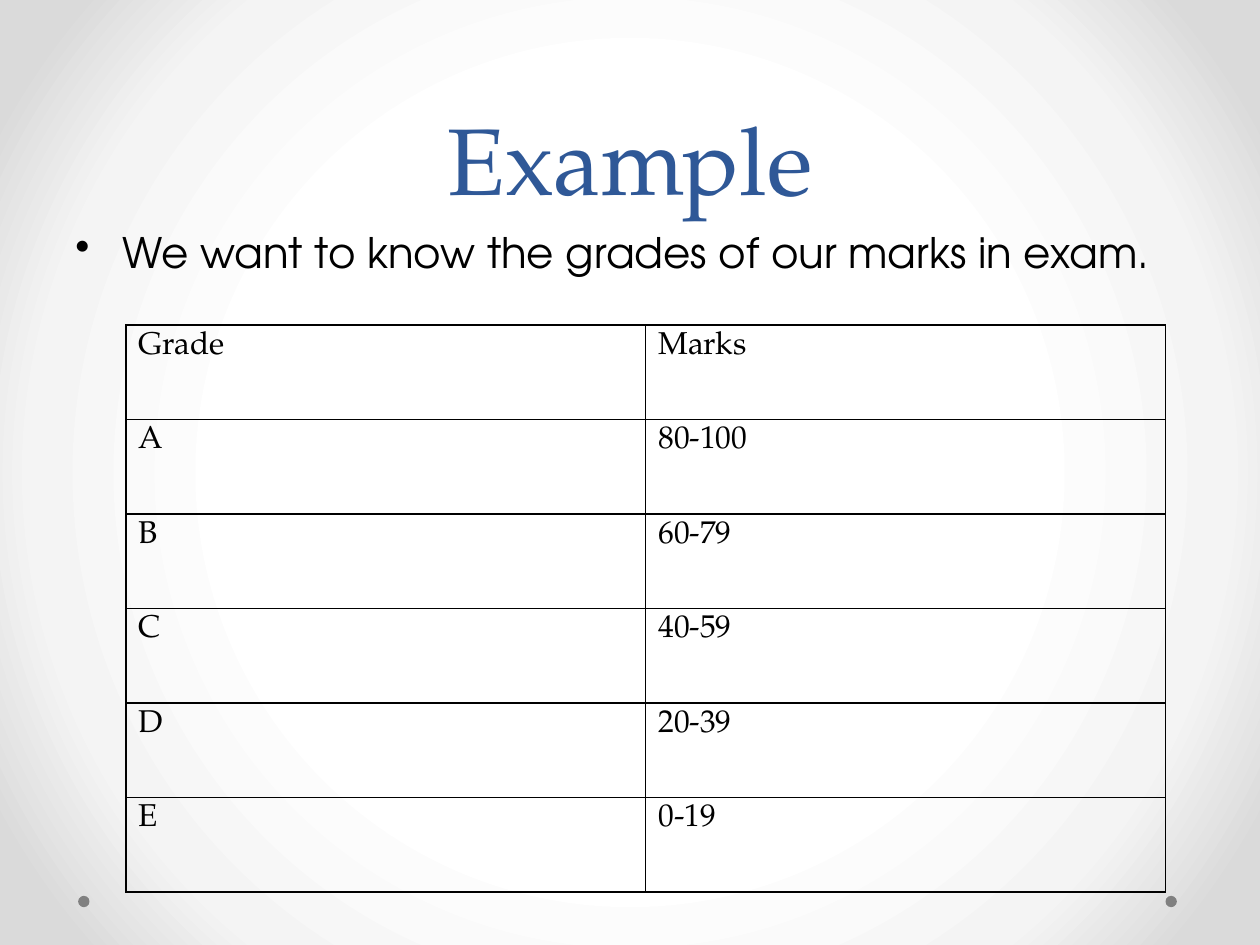
from typing import NamedTuple

import pptx
import pptx.dml.color
import pptx.enum.shapes
import pptx.enum.text
import pptx.oxml
import pptx.oxml.ns
import pptx.util
from pptx.util import Inches

COLORS = {"title": "2F5897", "text": "000000", "dot": "808080", "border": "000000"}
BACKGROUND_STOPS = [(50, "FFFFFF"), (76, "F4F4F4"), (92, "DADADA")]
SERIF = "TeX Gyre Pagella"
SANS = "TeX Gyre Adventor"
DOT_SIZE, DOT_TOP, DOT_LEFTS = 0.09, 7.11, (0.62, 9.25)
ROW_HEIGHT, COLUMN_WIDTH = 0.75, 4.125


class GradeRow(NamedTuple):
    grade: str
    marks: str


class TextBlock(NamedTuple):
    text: str
    top: float
    height: float
    font: str
    size: int
    color: str


GRADES = [
    GradeRow("Grade", "Marks"),
    GradeRow("A", "80-100"),
    GradeRow("B", "60-79"),
    GradeRow("C", "40-59"),
    GradeRow("D", "20-39"),
    GradeRow("E", "0-19"),
]
TITLE = TextBlock("Example", 0, 1.75, SERIF, 54, "title")
BODY = TextBlock("We want to know the grades of our marks in exam.",
                 1.75, 4.95, SANS, 24, "text")


def rgb(name: str) -> pptx.dml.color.RGBColor:
    return pptx.dml.color.RGBColor.from_string(COLORS[name])


def drawing_xml(tag: str, attributes: str = "", inner: str = ""):
    namespace = pptx.oxml.ns.nsdecls("a")
    return pptx.oxml.parse_xml(f"<a:{tag} {namespace} {attributes}>{inner}</a:{tag}>")


def set_font(para, name: str, size: int, color: str) -> None:
    para.font.name = name
    para.font.size = pptx.util.Pt(size)
    para.font.color.rgb = rgb(color)


def paint_background(page) -> None:
    page.background.fill.gradient()
    gradient = page.element.find(".//" + pptx.oxml.ns.qn("a:gradFill"))
    for child in list(gradient):
        gradient.remove(child)
    stops = "".join(f'<a:gs pos="{position * 1000}"><a:srgbClr val="{color}"/></a:gs>'
                    for position, color in BACKGROUND_STOPS)
    gradient.append(drawing_xml("gsLst", inner=stops))
    center = '<a:fillToRect l="50000" t="50000" r="50000" b="50000"/>'
    gradient.append(drawing_xml("path", 'path="circle"', center))


def add_dot(page, left: float) -> None:
    dot = page.shapes.add_shape(pptx.enum.shapes.MSO_SHAPE.OVAL, Inches(left),
                                Inches(DOT_TOP), Inches(DOT_SIZE), Inches(DOT_SIZE))
    dot.shadow.inherit = False
    dot.fill.solid()
    dot.fill.fore_color.rgb = rgb("dot")
    dot.line.fill.background()


def add_text(page, block: TextBlock):
    box = page.shapes.add_textbox(Inches(0.5), Inches(block.top),
                                  Inches(9), Inches(block.height))
    box.text_frame.word_wrap = True
    para = box.text_frame.paragraphs[0]
    para.text = block.text
    set_font(para, block.font, block.size, block.color)
    return box


def add_borders(cell) -> None:
    properties = cell._tc.get_or_add_tcPr()
    line = f'<a:solidFill><a:srgbClr val="{COLORS["border"]}"/></a:solidFill>'
    for index, side in enumerate(("lnL", "lnR", "lnT", "lnB")):
        properties.insert(index, drawing_xml(side, 'w="12700"', line))


def add_grade_table(page) -> None:
    columns = len(GradeRow._fields)
    frame = page.shapes.add_table(len(GRADES), columns, Inches(1), Inches(2.58),
                                  Inches(COLUMN_WIDTH * columns),
                                  Inches(ROW_HEIGHT * len(GRADES)))
    table = frame.table
    table.first_row = False
    table.horz_banding = False
    for row, values in enumerate(GRADES):
        for column, value in enumerate(values):
            cell = table.cell(row, column)
            cell.text = value
            cell.fill.background()
            set_font(cell.text_frame.paragraphs[0], SERIF, 18, "text")
            add_borders(cell)


deck = pptx.Presentation()
deck.slide_width, deck.slide_height = Inches(10), Inches(7.5)
page = deck.slides.add_slide(deck.slide_layouts[6])

# Background and corner dots
paint_background(page)
for dot_left in DOT_LEFTS:
    add_dot(page, dot_left)

# Title
title = add_text(page, TITLE)
title.text_frame.vertical_anchor = pptx.enum.text.MSO_ANCHOR.BOTTOM
title_para = title.text_frame.paragraphs[0]
title_para.alignment = pptx.enum.text.PP_ALIGN.CENTER
title_para.line_spacing = pptx.util.Pt(58)

# Bulleted sentence
body_para = add_text(page, BODY).text_frame.paragraphs[0]
body_para.space_before = pptx.util.Pt(4.8)
bullet_properties = body_para._p.get_or_add_pPr()
bullet_properties.set("marL", str(Inches(0.375)))
bullet_properties.set("indent", str(Inches(-0.375)))
bullet = drawing_xml("buChar", 'char="\u2022"')
bullet_properties.find(pptx.oxml.ns.qn("a:spcBef")).addnext(bullet)

# Grade table
add_grade_table(page)

deck.save("out.pptx")
